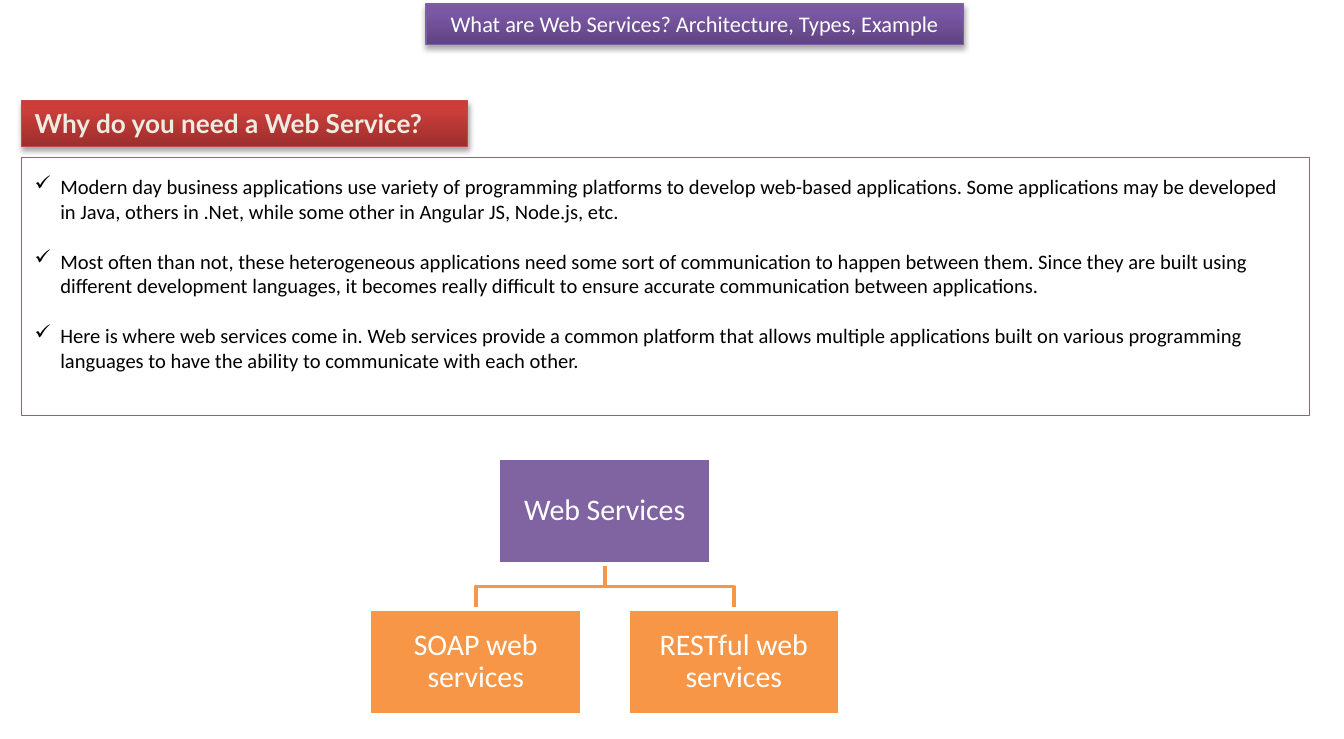
from lxml import etree
from pptx import Presentation
from pptx.dml.color import RGBColor
from pptx.enum import shapes, text
from pptx.oxml import parse_xml
from pptx.oxml.ns import nsdecls, qn
from pptx.util import Inches, Pt

PURPLE, ORANGE, WHITE = "8064A2", "F79646", "FFFFFF"
NODE_WIDTH, NODE_HEIGHT = 1.58, 0.79
ROOT_CENTER, ROOT_TOP, CHILD_TOP = 4.5, 3.41, 4.53
REASONS = [
    "Modern day business applications use variety of programming platforms to develop web-based "
    "applications. Some applications may be developed in Java, others in .Net, while some other in "
    "Angular JS, Node.js, etc.",
    "Most often than not, these heterogeneous applications need some sort of communication to happen "
    "between them. Since they are built using different development languages, it becomes really "
    "difficult to ensure accurate communication between applications.",
    "Here is where web services come in. Web services provide a common platform that allows multiple "
    "applications built on various programming languages to have the ability to communicate with "
    "each other.",
]


def color(value):
    return RGBColor.from_string(value)


def add_box(slide, left, top, width, height, fill, line, line_width):
    box = slide.shapes.add_shape(shapes.MSO_SHAPE.RECTANGLE, Inches(left), Inches(top),
                                 Inches(width), Inches(height))
    box.shadow.inherit = False
    box.fill.solid()
    box.fill.fore_color.rgb = color(fill)
    box.line.color.rgb = color(line)
    box.line.width = Pt(line_width)
    return box


def write(box, paragraphs, size, ink, font="Calibri", bold=False, align=text.PP_ALIGN.LEFT,
          anchor=text.MSO_ANCHOR.MIDDLE, spacing=1.0, gap=0, bullet=None, indent=0.19):
    frame = box.text_frame
    frame.word_wrap = True
    frame.vertical_anchor = anchor
    for index, words in enumerate(paragraphs):
        paragraph = frame.paragraphs[0] if index == 0 else frame.add_paragraph()
        if bullet:
            properties = paragraph._p.get_or_add_pPr()
            properties.set("marL", str(Inches(indent)))
            properties.set("indent", str(-Inches(indent)))
            etree.SubElement(properties, qn("a:buChar")).set("char", bullet)
        paragraph.alignment = align
        paragraph.line_spacing = spacing
        paragraph.space_before = Pt(gap if index else 0)
        run = paragraph.add_run()
        run.text = words
        run.font.name = font
        run.font.size = Pt(size)
        run.font.bold = bold
        run.font.color.rgb = color(ink)


def add_banner(slide, left, top, width, height, stops, line):
    banner = add_box(slide, left, top, width, height, stops[0], line, 0.75)
    banner.fill.gradient()
    banner.fill.gradient_angle = 90
    stop_list = banner._element.spPr.find(".//" + qn("a:gsLst"))
    stop_list.clear()
    for position, shade in zip((0, 80, 100), stops):
        stop_list.append(parse_xml(
            f'<a:gs {nsdecls("a")} pos="{position * 1000}"><a:srgbClr val="{shade}"/></a:gs>'))
    effects = banner._element.spPr.find(qn("a:effectLst"))
    effects.append(parse_xml(
        f'<a:outerShdw {nsdecls("a")} blurRad="{Pt(3.1)}" dist="{Pt(1.8)}" dir="5400000" '
        'rotWithShape="0"><a:srgbClr val="000000"><a:alpha val="35000"/></a:srgbClr></a:outerShdw>'))
    return banner


def add_branch(slide, child_center):
    start = ROOT_TOP + NODE_HEIGHT
    middle = (start + CHILD_TOP) / 2
    outline = slide.shapes.build_freeform(Inches(ROOT_CENTER), Inches(start))
    corners = [(ROOT_CENTER, middle), (child_center, middle), (child_center, CHILD_TOP)]
    outline.add_line_segments([(Inches(x), Inches(y)) for x, y in corners], close=False)
    branch = outline.convert_to_shape()
    branch.shadow.inherit = False
    branch.fill.background()
    branch.line.color.rgb = color(ORANGE)
    branch.line.width = Pt(2)


def add_node(slide, center, top, label, fill):
    node = add_box(slide, center - NODE_WIDTH / 2, top, NODE_WIDTH, NODE_HEIGHT, fill, WHITE, 2)
    frame = node.text_frame
    frame.margin_left = frame.margin_right = frame.margin_top = frame.margin_bottom = Inches(0.01)
    write(node, [label], 16, WHITE, align=text.PP_ALIGN.CENTER, spacing=0.9)


def main():
    deck = Presentation()
    deck.slide_width, deck.slide_height = Inches(10), Inches(5.5)
    slide = deck.slides.add_slide(deck.slide_layouts[6])

    reasons = add_box(slide, 0.16, 1.17, 9.58, 1.92, WHITE, PURPLE, 0.25)
    reasons.text_frame.margin_bottom = Inches(0.24)
    write(reasons, REASONS, 11, "000000", gap=13.4, bullet="✓")

    question = add_banner(slide, 0.16, 0.75, 3.32, 0.34, ("9C2F2D", "CB3E3A", "CE3B37"), "BF4C48")
    write(question, ["Why do you need a Web Service?"], 14, "EEECE1", font="Lato", bold=True,
          anchor=text.MSO_ANCHOR.TOP)

    children = [(ROOT_CENTER - 0.96, "SOAP web services"), (ROOT_CENTER + 0.96, "RESTful web services")]
    for center, _ in children:
        add_branch(slide, center)
    add_node(slide, ROOT_CENTER, ROOT_TOP, "Web Services", PURPLE)
    for center, label in children:
        add_node(slide, center, CHILD_TOP, label, ORANGE)

    title = add_banner(slide, 3.17, 0.03, 4, 0.3, ("5F4480", "7B58A6", "7C57A8"), "7D60A0")
    write(title, ["What are Web Services? Architecture, Types, Example"], 12, WHITE,
          align=text.PP_ALIGN.CENTER, anchor=text.MSO_ANCHOR.TOP)

    deck.save("out.pptx")


if __name__ == "__main__":
    main()
